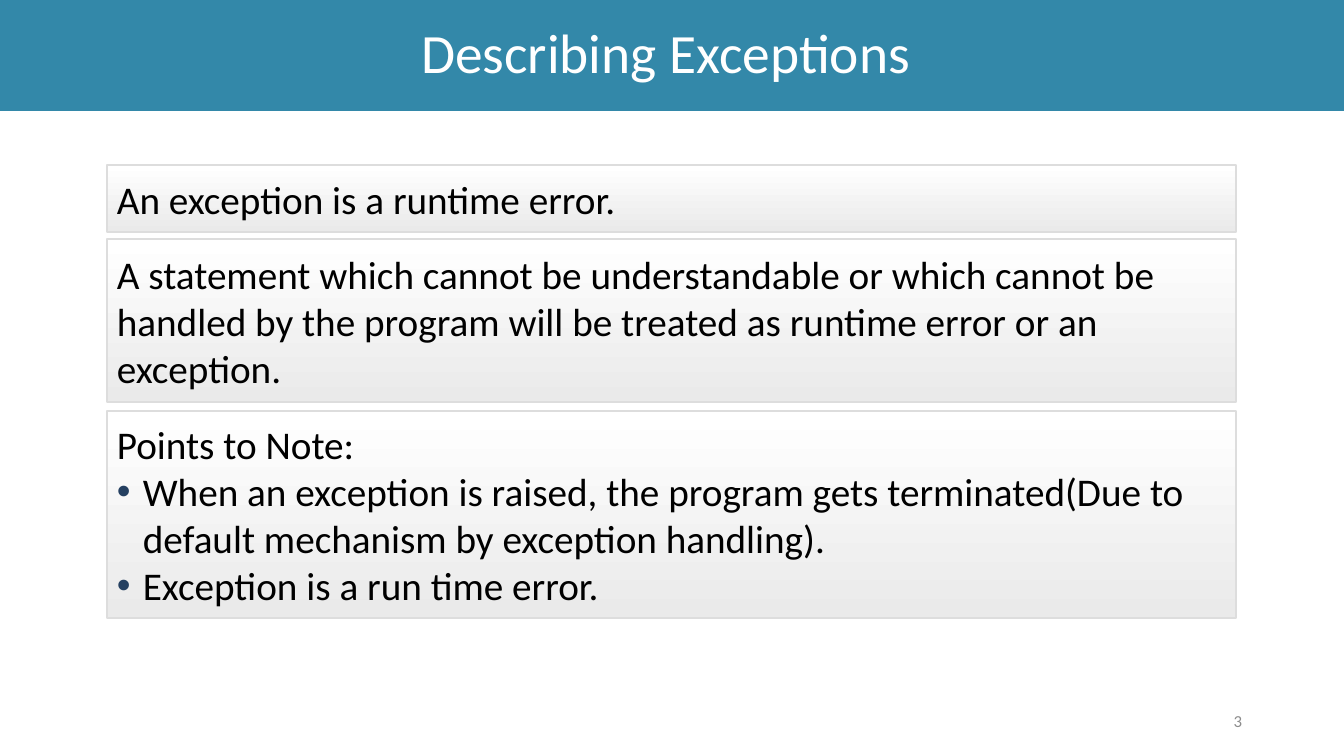
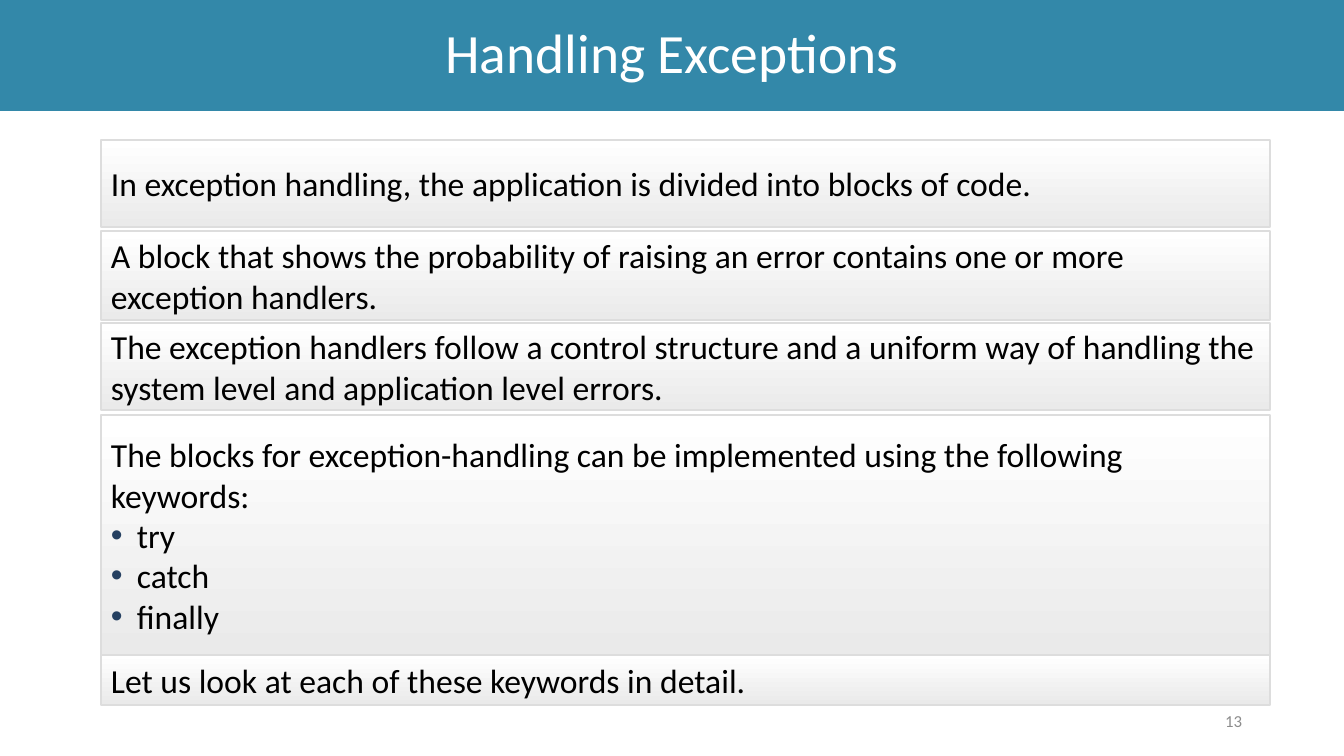
from dataclasses import dataclass

from lxml import etree
from pptx import Presentation
from pptx.dml.color import RGBColor
from pptx.enum.shapes import MSO_SHAPE
from pptx.enum.text import MSO_ANCHOR, PP_ALIGN
from pptx.oxml.ns import qn
from pptx.util import Emu, Pt

RECT = MSO_SHAPE.RECTANGLE
MIDDLE = MSO_ANCHOR.MIDDLE
LEFT, CENTER, RIGHT = PP_ALIGN.LEFT, PP_ALIGN.CENTER, PP_ALIGN.RIGHT
EMU_PER_INCH = 914400
PX_PER_INCH = 100.8
SLIDE_W, SLIDE_H = 1344, 756
BULLET_INDENT = 26


@dataclass(frozen=True)
class Theme:
    font: str = "Calibri"
    band: str = "3388A9"
    title: str = "FFFFFF"
    text: str = "000000"
    bullet: str = "254061"
    number: str = "8C8C8C"
    panel_top: str = "FFFFFF"
    panel_bottom: str = "EAEAEA"
    panel_line: str = "DDDDDD"
    title_size: float = 39.6
    number_size: int = 12
    large: int = 28
    medium: int = 24


THEME = Theme()


def px(n):
    return Emu(round(n * EMU_PER_INCH / PX_PER_INCH))


def rgb(value):
    return RGBColor.from_string(value)


def add_bullet(p):
    pPr = p._p.get_or_add_pPr()
    pPr.set("marL", str(px(BULLET_INDENT)))
    pPr.set("indent", str(-px(BULLET_INDENT)))
    color = etree.SubElement(pPr, qn("a:buClr"))
    etree.SubElement(color, qn("a:srgbClr"), val=THEME.bullet)
    etree.SubElement(pPr, qn("a:buFont"), typeface="Arial")
    etree.SubElement(pPr, qn("a:buChar"), char="•")


def write(tf, text, *, size, color=THEME.text, align=LEFT, spacing=None,
          bullet=False, first=True):
    p = tf.paragraphs[0] if first else tf.add_paragraph()
    if bullet:
        add_bullet(p)
    p.alignment = align
    if spacing:
        p.line_spacing = spacing
    r = p.add_run()
    r.text = text
    r.font.name = THEME.font
    r.font.size = Pt(size)
    r.font.color.rgb = rgb(color)


def set_frame(sp):
    tf = sp.text_frame
    tf.word_wrap = True
    tf.vertical_anchor = MIDDLE
    return tf


def add_rect(s, box):
    sp = s.shapes.add_shape(RECT, *map(px, box))
    sp.shadow.inherit = False
    return sp


def add_title_band(s, box, title):
    sp = add_rect(s, box)
    sp.fill.solid()
    sp.fill.fore_color.rgb = rgb(THEME.band)
    sp.line.fill.background()
    write(set_frame(sp), title, size=THEME.title_size, color=THEME.title,
          align=CENTER, spacing=0.9)


def add_page_number(s, box, number):
    sp = s.shapes.add_textbox(*map(px, box))
    write(set_frame(sp), str(number), size=THEME.number_size,
          color=THEME.number, align=RIGHT)


def add_panel(s, box, size, lead, bullets):
    sp = add_rect(s, box)
    sp.fill.gradient()
    sp.fill.gradient_angle = 270
    colors = (THEME.panel_top, THEME.panel_bottom)
    for stop, color in zip(sp.fill.gradient_stops, colors):
        stop.color.rgb = rgb(color)
    sp.line.color.rgb = rgb(THEME.panel_line)
    sp.line.width = Pt(1)
    tf = set_frame(sp)
    write(tf, lead, size=size)
    for text in bullets:
        write(tf, text, size=size, bullet=True, first=False)


def add_panel_slide(prs, title, number, left, width, size, panels):
    s = prs.slides.add_slide(prs.slide_layouts[6])
    add_title_band(s, (0, 0, SLIDE_W, 111), title)
    add_page_number(s, (950, 701, 302, 40), number)
    for top, height, lead, *bullets in panels:
        add_panel(s, (left, top, width, height), size, lead, bullets)


def main():
    prs = Presentation()
    prs.slide_width, prs.slide_height = px(SLIDE_W), px(SLIDE_H)
    add_panel_slide(prs, "Describing Exceptions ", 3, 107, 1129, THEME.large, [
        (165, 67, "An exception is a runtime error."),
        (239, 163, "A statement which cannot be understandable or which "
                   "cannot be handled by the program will be treated as "
                   "runtime error or an exception."),
        (411, 207, "Points to Note:",
         "When an exception is raised, the program gets terminated(Due to "
         "default mechanism by exception handling).",
         "Exception is a run time error."),
    ])
    add_panel_slide(prs, "Handling Exceptions", 13, 101, 1169, THEME.medium, [
        (140, 87, "In exception handling, the application is divided into "
                  "blocks of code."),
        (231, 89, "A block that shows the probability of raising an error "
                  "contains one or more exception handlers."),
        (323, 87, "The exception handlers follow a control structure and a "
                  "uniform way of handling the system level and application "
                  "level errors."),
        (415, 240, "The blocks for exception-handling can be implemented "
                   "using the following keywords:",
         "try", "catch", "finally"),
        (655, 50, "Let us look at each of these keywords in detail."),
    ])
    prs.save("out.pptx")


if __name__ == "__main__":
    main()
